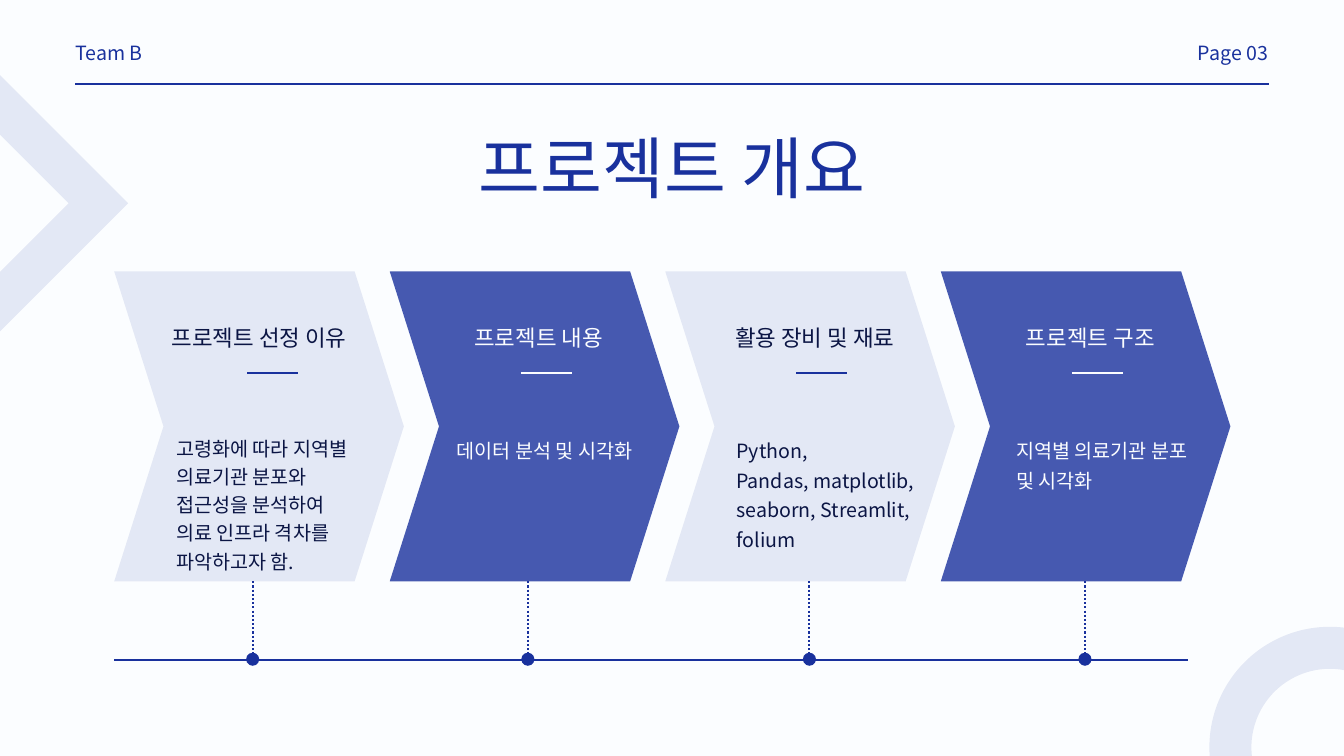
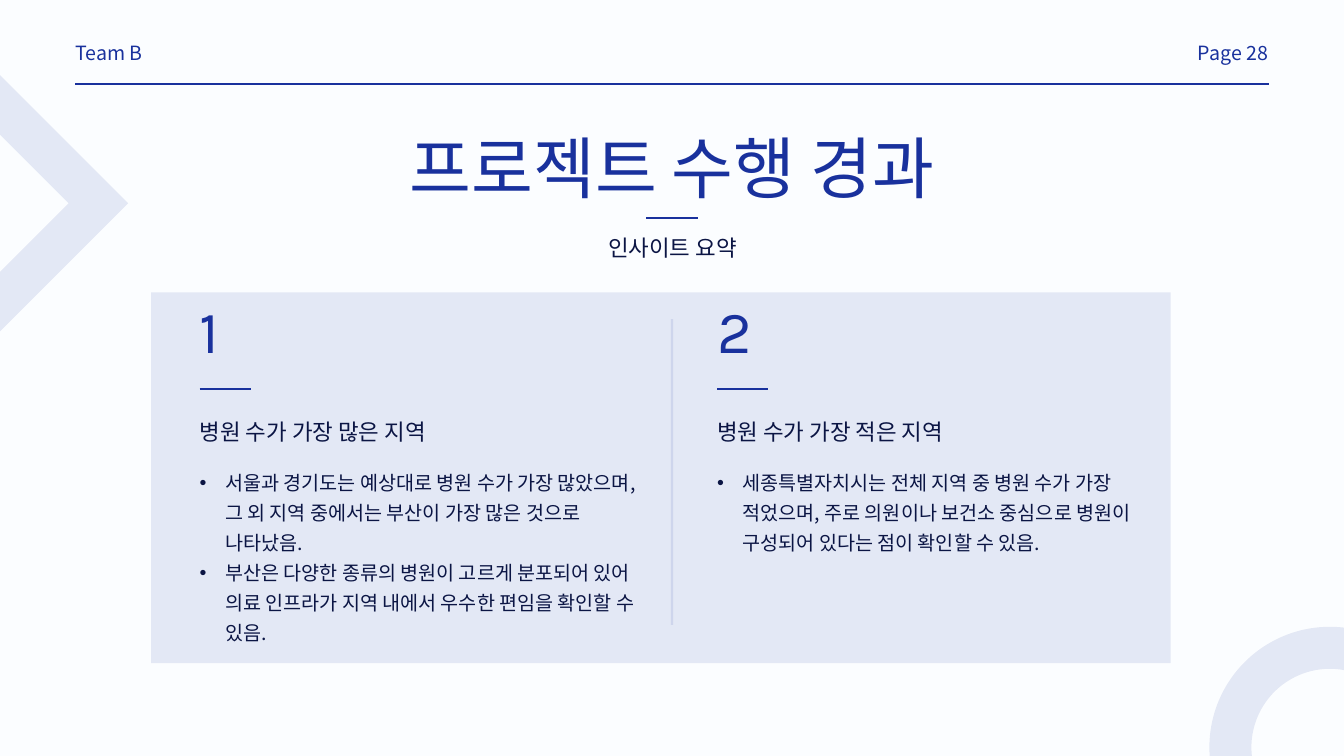
from dataclasses import dataclass
from typing import Any, NamedTuple

import lxml.etree
import pptx
import pptx.dml.color
import pptx.enum.dml
import pptx.enum.shapes
import pptx.enum.text
import pptx.oxml.ns
import pptx.presentation
import pptx.shapes.base
import pptx.slide
import pptx.util

WIDTH, HEIGHT = pptx.util.Inches(20), pptx.util.Inches(11.25)
COLUMNS, ROWS = 80, 45
COLORS = {"blue": "19319D", "ink": "0B1544", "paper": "FBFDFF"}
CJK = "Noto Sans CJK KR"
RULE_COLS = 3.04
TINT = 10

Pt = pptx.util.Pt
qn = pptx.oxml.ns.qn
Align = pptx.enum.text.PP_ALIGN
Preset = pptx.enum.shapes.MSO_SHAPE

FRAME = {
    "margin_left": 0, "margin_top": 0, "margin_right": 0, "margin_bottom": 0,
    "word_wrap": True,
    "vertical_anchor": pptx.enum.text.MSO_ANCHOR.TOP,
    "auto_size": pptx.enum.text.MSO_AUTO_SIZE.SHAPE_TO_FIT_TEXT,
}
FONTS = {
    "title": {"name": "Karla", "size": Pt(72)},
    "number": {"name": "Karla", "size": Pt(64)},
    "heading": {"name": CJK, "size": Pt(24)},
    "body": {"name": CJK, "size": Pt(21)},
}
LEADING = {"title": Pt(70.5), "number": Pt(62.7), "heading": Pt(36.7), "body": Pt(32.1)}


class Box(NamedTuple):
    col: float
    row: float
    cols: float
    rows: float


@dataclass
class Step:
    heading: str
    body: str
    heading_col: float
    rule_col: float
    dot_col: float
    body_box: Box
    body_format: dict[str, Any]
    dark: bool = False


@dataclass
class Insight:
    number: str
    heading: str
    points: list[str]
    col: float
    body_cols: float


STEPS = [
    Step("프로젝트 선정 이유",
         "고령화에 따라 지역별 의료기관 분포와 접근성을 분석하여 의료 인프라 격차를 파악하고자 함.",
         8.68, 14.72, 15.04, Box(10.48, 25.72, 10.84, 8.4), {"line_spacing": 1.2}),
    Step("프로젝트 내용", "데이터 분석 및 시각화",
         25.32, 31, 31.42, Box(27.2, 25.72, 12.12, 1.68),
         {"alignment": Align.JUSTIFY}, True),
    Step("활용 장비 및 재료",
         "Python,\vPandas, matplotlib, seaborn, Streamlit,\vfolium",
         41.76, 47.4, 48.18, Box(43.84, 25.72, 10.8, 7.08), {}),
    Step("프로젝트 구조", "지역별 의료기관 분포 및 시각화",
         58.16, 63.8, 64.58, Box(60.48, 25.72, 11.12, 3.48), {}, True),
]
INSIGHTS = [
    Insight("1", "병원 수가 가장 많은 지역", [
        "서울과 경기도는 예상대로 병원 수가 가장 많았으며, 그 외 지역 중에서는 부산이 가장 많은 것으로 나타났음.",
        "부산은 다양한 종류의 병원이 고르게 분포되어 있어 의료 인프라가 지역 내에서 우수한 편임을 확인할 수 있음.",
    ], 11.88, 26.56),
    Insight("2", "병원 수가 가장 적은 지역", [
        "세종특별자치시는 전체 지역 중 병원 수가 가장 적었으며, 주로 의원이나 보건소 중심으로 병원이 구성되어 있다는 점이 확인할 수 있음.",
    ], 42.68, 24.72),
]


def across(cols: float) -> int:
    return round(WIDTH * cols / COLUMNS)


def down(rows: float) -> int:
    return round(HEIGHT * rows / ROWS)


def place(box: Box) -> tuple[int, int, int, int]:
    return across(box.col), down(box.row), across(box.cols), down(box.rows)


def assign(target: Any, values: dict[str, Any]) -> None:
    for key, value in values.items():
        setattr(target, key, value)


def rgb(color: str) -> pptx.dml.color.RGBColor:
    return pptx.dml.color.RGBColor.from_string(COLORS[color])


def fade(sp: pptx.shapes.base.BaseShape, percent: int) -> None:
    for clr in sp._element.spPr.iter(qn("a:srgbClr")):
        lxml.etree.SubElement(clr, qn("a:alpha"), val=str(percent * 1000))


def add_bullet(p: Any) -> None:
    pPr = p._p.get_or_add_pPr()
    indent = pptx.util.Inches(0.38)
    pPr.set("marL", str(indent))
    pPr.set("indent", str(-indent))
    lxml.etree.SubElement(pPr, qn("a:buFont"), typeface="Arial")
    lxml.etree.SubElement(pPr, qn("a:buChar"), char="•")


def write(sp: Any, lines: list[str], style: str, color: str,
          layout: dict[str, Any], bullets: bool = False) -> None:
    tf = sp.text_frame
    assign(tf, FRAME)
    for i, line in enumerate(lines):
        p = tf.add_paragraph() if i else tf.paragraphs[0]
        p.text = line
        if bullets:
            add_bullet(p)
        assign(p, {"alignment": Align.LEFT, "line_spacing": LEADING[style], **layout})
        for r in p.runs:
            assign(r.font, FONTS[style])
            r.font.color.rgb = rgb(color)
            lxml.etree.SubElement(r._r.get_or_add_rPr(), qn("a:ea"), typeface=CJK)


def add_text(s: pptx.slide.Slide, box: Box, lines: list[str], style: str,
             color: str = "ink", bullets: bool = False, **layout: Any) -> None:
    write(s.shapes.add_textbox(*place(box)), lines, style, color, layout, bullets)


def add_solid(s: pptx.slide.Slide, preset: Any, box: Box,
              opacity: int = 100) -> pptx.shapes.base.BaseShape:
    sp = s.shapes.add_shape(preset, *place(box))
    sp.shadow.inherit = False
    sp.fill.solid()
    sp.fill.fore_color.rgb = rgb("blue")
    sp.line.fill.background()
    if opacity < 100:
        fade(sp, opacity)
    return sp


def add_outline(s: pptx.slide.Slide, preset: Any, box: Box) -> None:
    sp = s.shapes.add_shape(preset, *place(box))
    sp.shadow.inherit = False
    sp.fill.background()
    sp.line.color.rgb = rgb("blue")
    sp.line.width = Pt(45)
    lxml.etree.SubElement(sp.line._get_or_add_ln(), qn("a:miter"), lim="800000")
    fade(sp, TINT)


def add_line(s: pptx.slide.Slide, box: Box, color: str = "blue",
             opacity: int = 100, dotted: bool = False) -> None:
    x, y, w, h = place(box)
    kind = pptx.enum.shapes.MSO_CONNECTOR.STRAIGHT
    sp = s.shapes.add_connector(kind, x, y, x + w, y + h)
    sp.line.color.rgb = rgb(color)
    sp.line.width = Pt(2.25)
    if dotted:
        sp.line.dash_style = pptx.enum.dml.MSO_LINE.ROUND_DOT
    if opacity < 100:
        fade(sp, opacity)
    lxml.etree.SubElement(sp._element.spPr, qn("a:effectLst"))


def add_page(prs: pptx.presentation.Presentation, title: str, page: str) -> pptx.slide.Slide:
    s = prs.slides.add_slide(prs.slide_layouts[5])
    s.background.fill.solid()
    s.background.fill.fore_color.rgb = rgb("paper")
    add_outline(s, Preset.OVAL, Box(73.24, 38.56, 11.84, 11.84))
    add_outline(s, Preset.DIAMOND, Box(-5.86, 6.24, 11.72, 11.72))
    add_line(s, Box(4.48, 5, 71.04, 0))
    add_text(s, Box(4.48, 2.08, 19.48, 1.68), ["Team B"], "body", "blue")
    add_text(s, Box(56, 2.08, 19.48, 1.68), [page], "body", "blue", alignment=Align.RIGHT)
    sp = s.shapes.title
    assign(sp, dict(zip(("left", "top", "width", "height"), place(Box(21.64, 8.4, 36.72, 4)))))
    write(sp, [title], "title", "blue", {"alignment": Align.CENTER})
    return s


def add_overview(prs: pptx.presentation.Presentation) -> None:
    s = add_page(prs, "프로젝트 개요", "Page 03")
    add_line(s, Box(6.8, 39.28, 63.92, 0))
    for i, step in enumerate(STEPS):
        chevron = add_solid(s, Preset.CHEVRON, Box(6.8 + 16.4 * i, 16.16, 17.24, 18.44),
                            80 if step.dark else TINT)
        chevron.adjustments[0] = 0.17
        color = "paper" if step.dark else "ink"
        add_text(s, Box(step.heading_col, 18.84, 13.48, 1.92), [step.heading],
                 "heading", color, alignment=Align.CENTER)
        add_line(s, Box(step.rule_col, 22.2, RULE_COLS, 0), "paper" if step.dark else "blue")
        add_text(s, step.body_box, [step.body], "body", color, **step.body_format)
        add_line(s, Box(step.dot_col, 34.6, 0, 4.6), dotted=True)
        add_solid(s, Preset.OVAL, Box(step.dot_col - 0.39, 38.85, 0.78, 0.78))


def add_insights(prs: pptx.presentation.Presentation) -> None:
    s = add_page(prs, "프로젝트 수행 경과", "Page 28")
    add_line(s, Box(38.48, 13, RULE_COLS, 0))
    add_text(s, Box(32.68, 13.52, 14.68, 1.96), ["인사이트 요약"], "heading",
             alignment=Align.CENTER)
    add_solid(s, Preset.RECTANGLE, Box(9, 17.4, 60.68, 22.08), TINT)
    add_line(s, Box(40, 19, 0, 18.2), opacity=TINT)
    for item in INSIGHTS:
        add_text(s, Box(item.col, 18.28, 5, 4.32), [item.number], "number", "blue")
        add_line(s, Box(item.col, 23.18, RULE_COLS, 0))
        add_text(s, Box(item.col, 24.42, 17, 1.96), [item.heading], "heading")
        add_text(s, Box(item.col, 27.66, item.body_cols, 5.32 * len(item.points)),
                 item.points, "body", bullets=True)


def main() -> None:
    prs = pptx.Presentation()
    prs.slide_width, prs.slide_height = WIDTH, HEIGHT
    add_overview(prs)
    add_insights(prs)
    prs.save("out.pptx")


if __name__ == "__main__":
    main()
